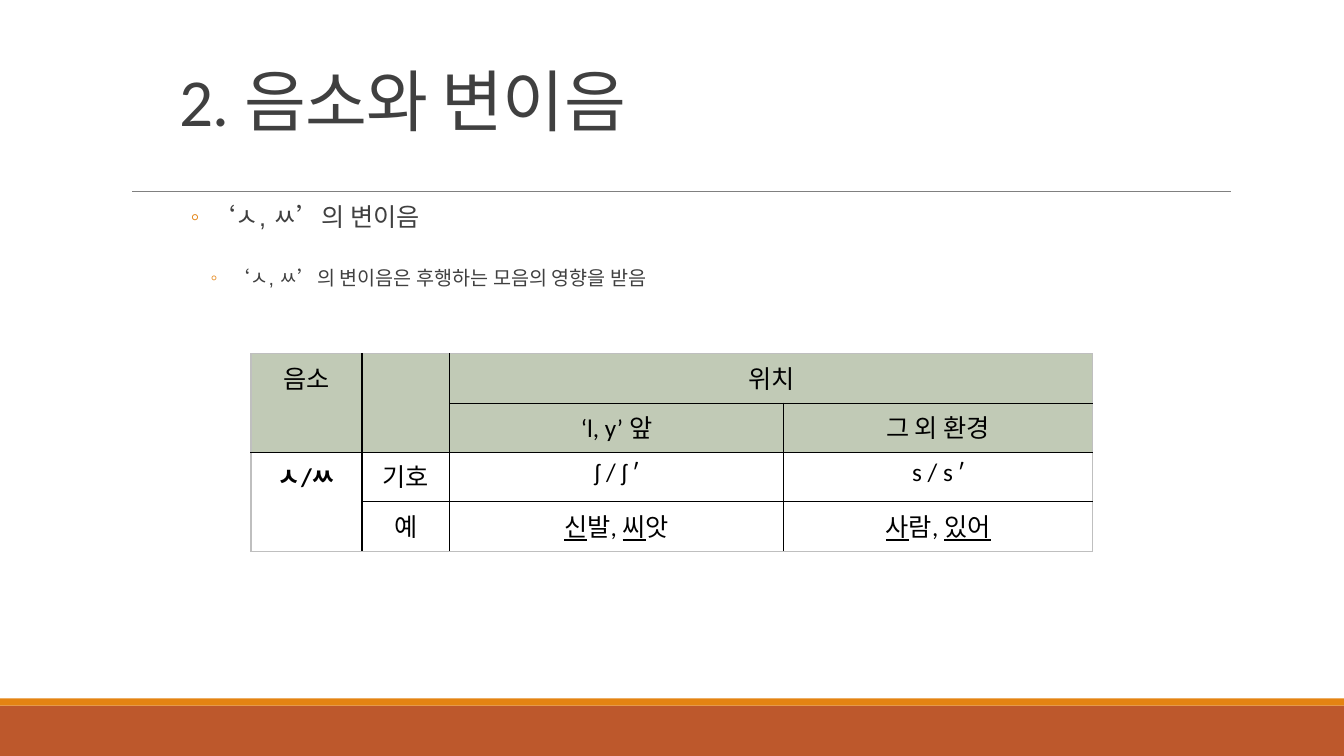
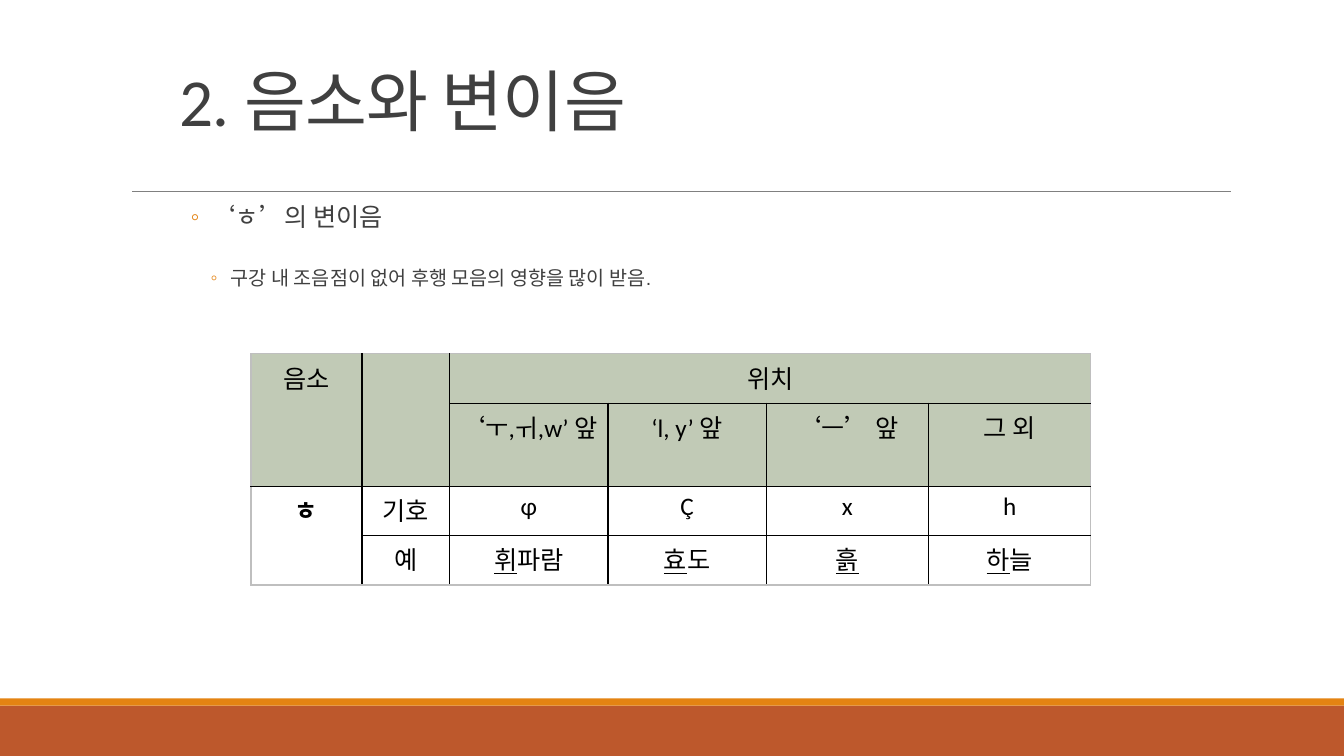
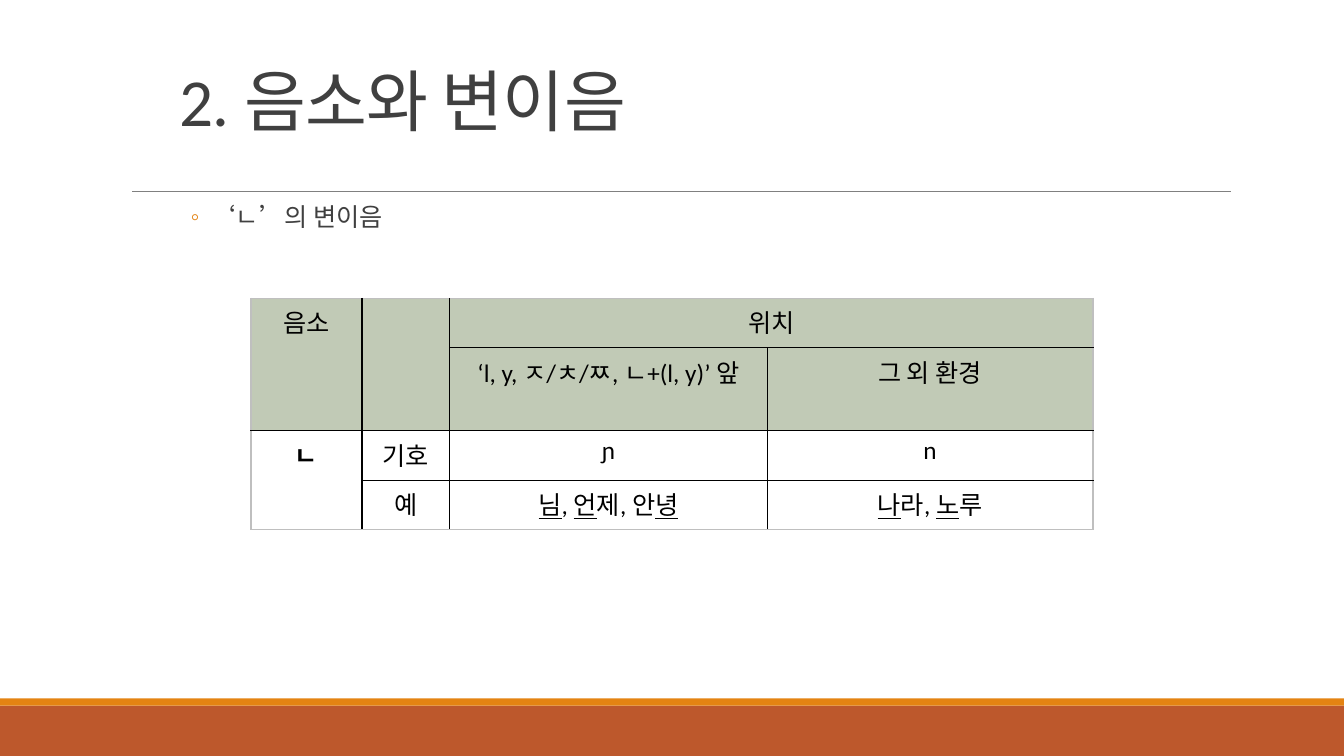
"""Three slides on Korean phonemes and their allophones."""
from lxml import etree
from pptx import Presentation
from pptx.dml.color import RGBColor
from pptx.enum.shapes import MSO_CONNECTOR, MSO_SHAPE
from pptx.enum.text import MSO_ANCHOR, MSO_AUTO_SIZE, PP_ALIGN
from pptx.oxml.ns import qn
from pptx.util import Inches, Pt

RECT = MSO_SHAPE.RECTANGLE
LINE = MSO_CONNECTOR.STRAIGHT
TOP, BOTTOM = MSO_ANCHOR.TOP, MSO_ANCHOR.BOTTOM
FIXED = MSO_AUTO_SIZE.NONE
LEFT, CENTER = PP_ALIGN.LEFT, PP_ALIGN.CENTER

INK = {
    "rust": "BD582C",
    "amber": "E48312",
    "rule": "808080",
    "text": "404040",
    "black": "000000",
    "edge": "BFBFBF",
    "head": "C1CAB6",
}


def color(name):
    return RGBColor.from_string(INK[name])


def write(par, text, size=18, font="Calibri", ink="black", bold=False,
          align=LEFT, lead=1.0, before=0, after=0, track=0):
    par.alignment = align
    par.line_spacing = lead
    par.space_before, par.space_after = Pt(before), Pt(after)
    for turn, part in enumerate(text.split("_")):
        if not part:
            continue
        run = par.add_run()
        run.text = part
        run.font.size, run.font.name = Pt(size), font
        run.font.bold, run.font.underline = bold, turn % 2 == 1
        run.font.color.rgb = color(ink)
        if track:
            run.font._element.set("spc", str(track))


class Deck:
    def __init__(self):
        self.file = Presentation()
        self.file.slide_width = Inches(13.33)
        self.file.slide_height = Inches(7.5)
        self.slide = None

    def start(self, title):
        self.slide = self.file.slides.add_slide(self.file.slide_layouts[1])
        self.band(7, 0.5, "rust")
        self.band(6.93, 0.07, "amber")
        self.rule(1.31, 12.21, 1.9)
        frame = self.place(self.slide.shapes.title, 1.68, 0.36, 9, 1.08)
        frame.vertical_anchor = BOTTOM
        write(frame.paragraphs[0], title, size=48, ink="text", lead=0.85, track=-50)

    def place(self, shape, x, y, w, h):
        shape.left, shape.top = Inches(x), Inches(y)
        shape.width, shape.height = Inches(w), Inches(h)
        frame = shape.text_frame
        frame.word_wrap, frame.auto_size = True, FIXED
        return frame

    def band(self, y, h, ink):
        shape = self.slide.shapes.add_shape(
            RECT, 0, Inches(y), self.file.slide_width, Inches(h))
        shape.shadow.inherit = False
        shape.fill.solid()
        shape.fill.fore_color.rgb = color(ink)
        shape.line.fill.background()

    def rule(self, x, end, y):
        line = self.slide.shapes.add_connector(
            LINE, Inches(x), Inches(y), Inches(end), Inches(y))
        line.line.color.rgb = color("rule")
        line.line.width = Pt(0.5)
        etree.SubElement(line._element.spPr, qn("a:effectLst"))

    def bullets(self, items):
        frame = self.place(self.slide.placeholders[1], 1.67, 1.62, 10, 5.75)
        frame.vertical_anchor = TOP
        frame.margin_left = frame.margin_right = 0
        frame.margin_top, frame.margin_bottom = Inches(0.41), Inches(0.05)
        for rank, text in enumerate(items):
            par = frame.add_paragraph() if rank else frame.paragraphs[0]
            par.level = rank + 1
            props = par._p.get_or_add_pPr()
            props.set("marL", str(Inches(0.42 + 0.2 * rank)))
            props.set("indent", str(Inches(-0.2)))
            tint = etree.SubElement(props, qn("a:buClr"))
            etree.SubElement(tint, qn("a:srgbClr")).set("val", INK["amber"])
            etree.SubElement(props, qn("a:buChar")).set("char", "◦")
            write(par, text, size=14 if rank else 18, font="Arial", ink="text",
                  lead=0.9, before=22 if rank else 0, after=4)

    def borders(self, cell, outer):
        props = cell._tc.get_or_add_tcPr()
        for side, edge in zip("LRTB", outer):
            line = etree.SubElement(props, qn("a:ln" + side))
            line.set("w", str(Pt(1)))
            fill = etree.SubElement(line, qn("a:solidFill"))
            ink = INK["edge" if edge else "black"]
            etree.SubElement(fill, qn("a:srgbClr")).set("val", ink)

    def table(self, y, phone, widths, places, signs, words):
        rows = [["음소", "", "위치"], ["", "", *places],
                [phone, "기호", *signs], ["", "예", *words]]
        widths = [1.1, 0.87, *widths]
        count = len(widths)
        grid = self.slide.shapes.add_table(
            4, count, Inches(2.49), Inches(y), Inches(8.35), Inches(1.96)).table
        grid.first_row = grid.horz_banding = False
        for col, width in zip(grid.columns, widths):
            col.width = Inches(width)
        for row in grid.rows:
            row.height = Inches(0.49)
        for first, last in (((0, 0), (1, 0)), ((0, 1), (1, 1)),
                            ((0, 2), (0, count - 1)), ((2, 0), (3, 0))):
            grid.cell(*first).merge(grid.cell(*last))
        for r in range(4):
            for c in range(count):
                cell = grid.cell(r, c)
                wide = cell.span_width if cell.is_merge_origin else 1
                high = cell.span_height if cell.is_merge_origin else 1
                self.borders(cell, (c == 0, c + wide == count, r == 0, r + high == 4))
                if r < 2:
                    cell.fill.solid()
                    cell.fill.fore_color.rgb = color("head")
                else:
                    cell.fill.background()
                if c < len(rows[r]):
                    write(cell.text_frame.paragraphs[0], rows[r][c],
                          align=CENTER, bold=(r, c) == (2, 0))


PAGES = [
    (["‘ㅅ, ㅆ’의 변이음", "‘ㅅ, ㅆ’의 변이음은 후행하는 모음의 영향을 받음"],
     (3.51, "ㅅ/ㅆ", [3.31, 3.07], ["‘l, y’ 앞", "그 외 환경"],
      ["ʃ / ʃ ʹ", "s / s ʹ"], ["_신_발, _씨_앗", "_사_람, _있어_"])),
    (["‘ㅎ’의 변이음", "구강 내 조음점이 없어 후행 모음의 영향을 많이 받음."],
     (3.51, "ㅎ", [1.57, 1.57, 1.61, 1.61],
      ["‘ㅜ,ㅟ,w’ 앞", "‘l, y’ 앞", "‘ㅡ’ 앞", "그 외"],
      ["ɸ", "Ç", "x", "h"], ["_휘_파람", "_효_도", "_흙_", "_하_늘"])),
    (["‘ㄴ’의 변이음"],
     (2.96, "ㄴ", [3.15, 3.23], ["‘l, y, ㅈ/ㅊ/ㅉ, ㄴ+(l, y)’ 앞", "그 외 환경"],
      ["ɲ", "n"], ["_님_, _언_제, 안_녕_", "_나_라, _노_루"])),
]


def main():
    deck = Deck()
    for items, table in PAGES:
        deck.start("2. 음소와 변이음")
        deck.bullets(items)
        deck.table(*table)
    deck.file.save("out.pptx")


if __name__ == "__main__":
    main()
